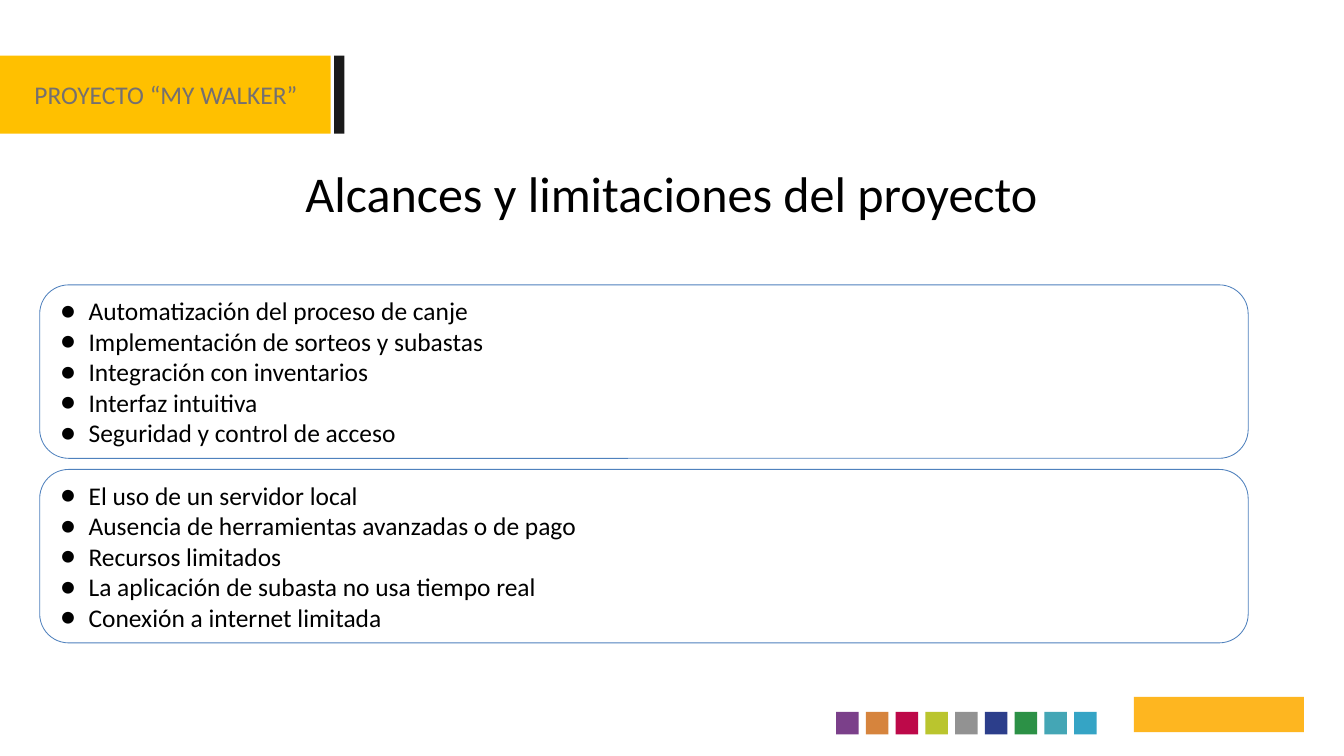
from lxml import etree
from pptx import Presentation
from pptx.dml.color import RGBColor
from pptx.enum.shapes import MSO_SHAPE
from pptx.enum.text import MSO_ANCHOR, MSO_AUTO_SIZE, PP_ALIGN
from pptx.oxml.ns import qn
from pptx.util import Cm, Pt

RECT, ROUND = MSO_SHAPE.RECTANGLE, MSO_SHAPE.ROUNDED_RECTANGLE
TOP, MIDDLE = MSO_ANCHOR.TOP, MSO_ANCHOR.MIDDLE
LEFT, CENTER = PP_ALIGN.LEFT, PP_ALIGN.CENTER
FIXED = MSO_AUTO_SIZE.NONE
FONT = "Calibri"
COLORS = {
    "gold": "FFC000", "dark": "1A1A1A", "gray": "757070", "black": "000000",
    "white": "FFFFFF", "blue": "4F81BD", "logo": "FEB620",
}
STRIP = ["7B408A", "D6843D", "BD0949", "BAC52E", "929292",
         "2C3E8B", "2C9146", "44A6B5", "35A4C5"]
SCOPE = [
    "Automatización del proceso de canje",
    "Implementación de sorteos y subastas",
    "Integración con inventarios",
    "Interfaz intuitiva",
    "Seguridad y control de acceso",
]
LIMITS = [
    "El uso de un servidor local",
    "Ausencia de herramientas avanzadas o de pago",
    "Recursos limitados",
    "La aplicación de subasta no usa tiempo real",
    "Conexión a internet limitada",
]


def place(box):
    """Turn a box in centimetres into lengths."""
    return [Cm(v) for v in box]


def block(slide, kind, box, fill, line=None):
    """Add a flat shape with an optional outline."""
    shape = slide.shapes.add_shape(kind, *place(box))
    shape.shadow.inherit = False
    shape.fill.solid()
    shape.fill.fore_color.rgb = RGBColor.from_string(fill)
    if line:
        shape.line.color.rgb = RGBColor.from_string(line)
        shape.line.width = Pt(1)
    else:
        shape.line.fill.background()
    return shape


def bullet(para):
    """Give a paragraph a round black bullet and a hanging indent."""
    props = para._p.get_or_add_pPr()
    props.set("marL", str(Cm(1.27)))
    props.set("indent", str(Cm(-1.17)))
    color = etree.SubElement(props, qn("a:buClr"))
    etree.SubElement(color, qn("a:srgbClr"), val=COLORS["black"])
    etree.SubElement(props, qn("a:buFont"), typeface=FONT)
    etree.SubElement(props, qn("a:buChar"), char="●")


def write(shape, lines, size=30, color="black", align=LEFT, anchor=TOP,
          marks=False):
    """Fill a shape with formatted paragraphs."""
    frame = shape.text_frame
    frame.word_wrap = True
    frame.auto_size = FIXED
    frame.vertical_anchor = anchor
    frame.margin_left = frame.margin_right = Cm(0.41)
    frame.margin_top = frame.margin_bottom = Cm(0.2)
    frame.text = "\n".join(lines)
    for para in frame.paragraphs:
        para.alignment = align
        if marks:
            bullet(para)
        para.font.name = FONT
        para.font.size = Pt(size)
        para.font.color.rgb = RGBColor.from_string(COLORS[color])


def tag(slide, box, text):
    """Draw the project tag and its dark end bar."""
    x, y, w, h = box
    block(slide, RECT, box, COLORS["gold"])
    block(slide, RECT, (x + w + 0.15, y, 0.42, h), COLORS["dark"])
    label = slide.shapes.add_textbox(*place((x + 1.02, y + 0.76, 11.86, 1.7)))
    write(label, [text], color="gray")


def heading(slide, box, text):
    """Place the slide title."""
    title = slide.shapes.title
    title.left, title.top, title.width, title.height = place(box)
    write(title, [text], size=59, align=CENTER)


def cards(slide, box, groups, gap):
    """Stack one rounded card for each group of points."""
    x, y, w, h = box
    high = (h - gap * (len(groups) - 1)) / len(groups)
    for i, points in enumerate(groups):
        spot = (x, y + i * (high + gap), w, high)
        card = block(slide, ROUND, spot, COLORS["white"], COLORS["blue"])
        card.adjustments[0] = 0.167
        write(card, points, anchor=MIDDLE, marks=True)


def strip(slide, box):
    """Draw the row of coloured squares."""
    x, y, w, side = box
    step = (w - side) / (len(STRIP) - 1)
    for i, color in enumerate(STRIP):
        block(slide, RECT, (x + i * step, y, side, side), color)


def main():
    """Build the slide and save it."""
    deck = Presentation()
    deck.slide_width, deck.slide_height = Cm(55.85), Cm(31.42)
    slide = deck.slides.add_slide(deck.slide_layouts[5])
    tag(slide, (0, 2.31, 13.74, 3.25), "PROYECTO “MY WALKER”")
    strip(slide, (34.75, 29.59, 10.82, 0.93))
    block(slide, RECT, (47.12, 28.96, 7.06, 1.47), COLORS["logo"])
    heading(slide, (0, 6.55, 55.85, 2.95),
            "Alcances y limitaciones del proyecto")
    cards(slide, (1.65, 11.84, 50.22, 14.88), [SCOPE, LIMITS], 0.46)
    deck.save("out.pptx")


if __name__ == "__main__":
    main()
